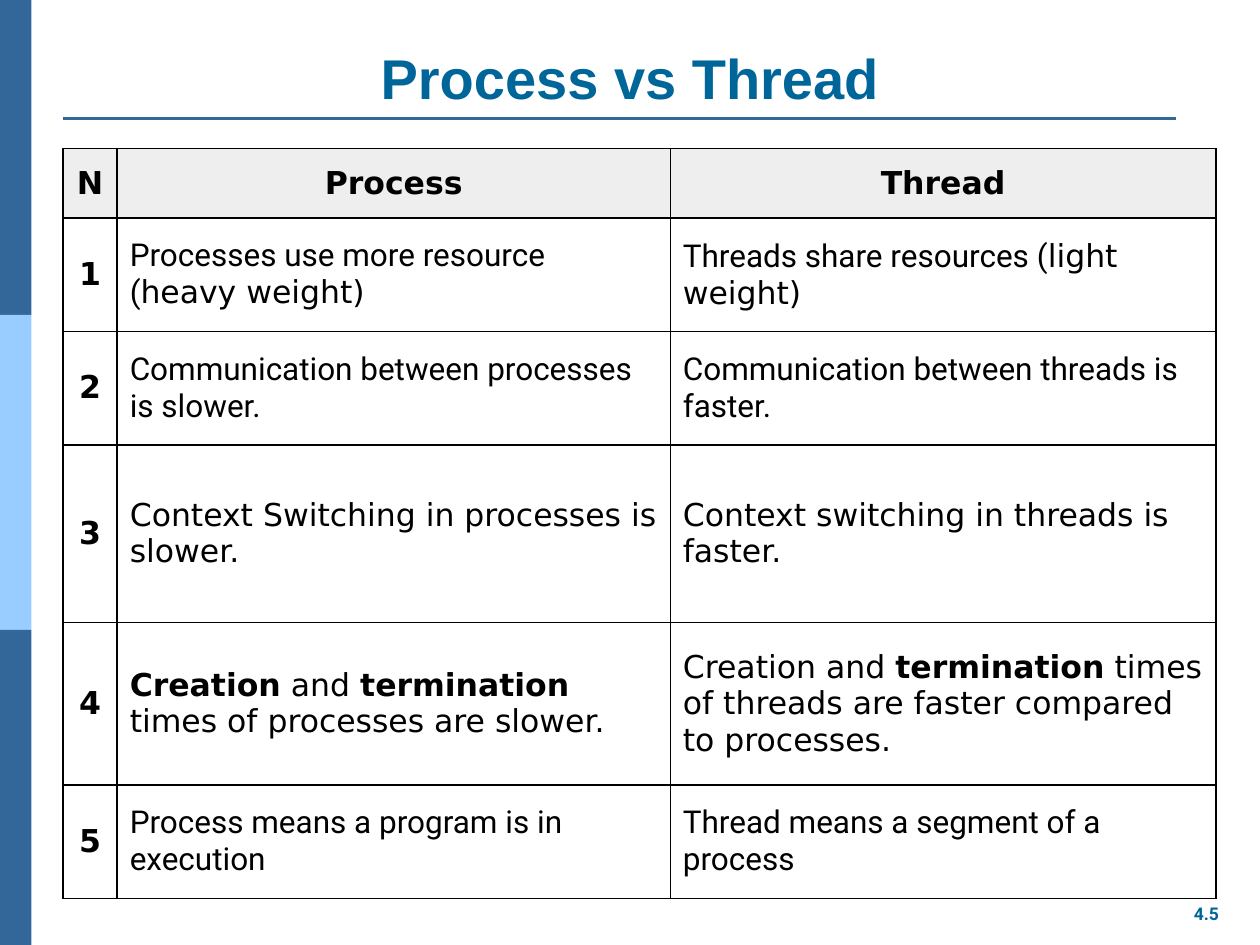
from lxml import etree
from pptx import Presentation
from pptx.dml.color import RGBColor
from pptx.enum import shapes, text
from pptx.oxml import ns
from pptx.util import Inches, Pt

DARK_BLUE = RGBColor(0x33, 0x66, 0x99)
LIGHT_BLUE = RGBColor(0x99, 0xCC, 0xFF)
TEAL = RGBColor(0x00, 0x66, 0x99)
HEADER_GREY = RGBColor(0xEE, 0xEE, 0xEE)
BLACK = RGBColor(0x00, 0x00, 0x00)
SANS, ROBOTO = "DejaVu Sans", "Roboto"

COLUMN_WIDTHS = [0.43, 4.39, 4.33]
ROW_HEIGHTS = [0.55, 0.9, 0.9, 1.41, 1.29, 0.9]
HEADINGS = ["N", "Process", "Thread"]
# Each cell is a list of (text, font, bold) spans.
COMPARISONS = [
    ([("Processes use more resource (", ROBOTO, False), ("heavy weight)", SANS, False)],
     [("Threads share resources (", ROBOTO, False), ("light weight)", SANS, False)]),
    ([("Communication between processes is slower.", ROBOTO, False)],
     [("Communication between threads is faster.", ROBOTO, False)]),
    ([("Context Switching in processes is slower.", SANS, False)],
     [("Context switching in threads is faster.", SANS, False)]),
    ([("Creation", SANS, True), (" and ", SANS, False), ("termination", SANS, True),
      (" times of processes are slower.", SANS, False)],
     [("Creation and ", SANS, False), ("termination", SANS, True),
      (" times of threads are faster compared to processes.", SANS, False)]),
    ([("Process means a program is in execution", ROBOTO, False)],
     [("Thread means a segment of a process", ROBOTO, False)]),
]


def add_label(page, words, left, top, width, height, font, size):
    box = page.shapes.add_textbox(Inches(left), Inches(top), Inches(width), Inches(height))
    para = box.text_frame.paragraphs[0]
    para.text = words
    para.alignment = text.PP_ALIGN.CENTER
    para.font.name = font
    para.font.size = Pt(size)
    para.font.bold = True
    para.font.color.rgb = TEAL
    return box


def add_borders(cell):
    """Draw a 1 pt black line on all four sides; lines must precede the fill."""
    properties = cell._tc.get_or_add_tcPr()
    for position, side in enumerate(("lnL", "lnR", "lnT", "lnB")):
        line = etree.Element(ns.qn(f"a:{side}"), w=str(Pt(1)))
        fill = etree.SubElement(line, ns.qn("a:solidFill"))
        etree.SubElement(fill, ns.qn("a:srgbClr"), val=str(BLACK))
        properties.insert(position, line)


deck = Presentation()
deck.slide_width, deck.slide_height = Inches(10), Inches(7.5)
page = deck.slides.add_slide(deck.slide_layouts[6])

# Side bands and title rule
for index, color in enumerate((DARK_BLUE, LIGHT_BLUE, DARK_BLUE)):
    band = page.shapes.add_shape(shapes.MSO_SHAPE.RECTANGLE, 0, Inches(2.5 * index),
                                 Inches(0.25), Inches(2.5))
    band.shadow.inherit = False
    band.fill.solid()
    band.fill.fore_color.rgb = color
    band.line.fill.background()

rule = page.shapes.add_connector(shapes.MSO_CONNECTOR.STRAIGHT, Inches(0.5), Inches(0.94),
                                 Inches(9.33), Inches(0.94))
rule.line.color.rgb = DARK_BLUE
rule.line.width = Pt(1.5)
etree.SubElement(rule._element.spPr, ns.qn("a:effectLst"))

# Title and page number
title = add_label(page, "Process vs Thread", 0.5, 0.3, 9, 0.63, "Arial", 32)
title.text_frame.word_wrap = True
title.text_frame.vertical_anchor = text.MSO_ANCHOR.BOTTOM
number = add_label(page, "4.5", 9.33, 7.12, 0.49, 0.27, ROBOTO, 10)
number.text_frame.word_wrap = False

# Comparison table
table = page.shapes.add_table(len(ROW_HEIGHTS), len(COLUMN_WIDTHS), Inches(0.5), Inches(1.18),
                              Inches(sum(COLUMN_WIDTHS)), Inches(sum(ROW_HEIGHTS))).table
table.horz_banding = False
for column, width in zip(table.columns, COLUMN_WIDTHS):
    column.width = Inches(width)
for row, height in zip(table.rows, ROW_HEIGHTS):
    row.height = Inches(height)

rows = [[[(heading, SANS, True)] for heading in HEADINGS]]
for count, (process, thread) in enumerate(COMPARISONS, start=1):
    rows.append([[(str(count), SANS, True)], process, thread])

for row_index, row in enumerate(rows):
    for column_index, spans in enumerate(row):
        cell = table.cell(row_index, column_index)
        cell.vertical_anchor = text.MSO_ANCHOR.MIDDLE
        para = cell.text_frame.paragraphs[0]
        para.alignment = text.PP_ALIGN.LEFT
        if row_index == 0 or column_index == 0:
            para.alignment = text.PP_ALIGN.CENTER
            cell.margin_left = cell.margin_right = Inches(0.05)
            cell.margin_top = cell.margin_bottom = Inches(0.05)
        if row_index == 0:
            cell.fill.solid()
            cell.fill.fore_color.rgb = HEADER_GREY
        else:
            cell.fill.background()
        add_borders(cell)
        for words, font, bold in spans:
            span = para.add_run()
            span.text = words
            span.font.name = font
            span.font.size = Pt(18)
            span.font.bold = bold
            span.font.color.rgb = BLACK

deck.save("out.pptx")
